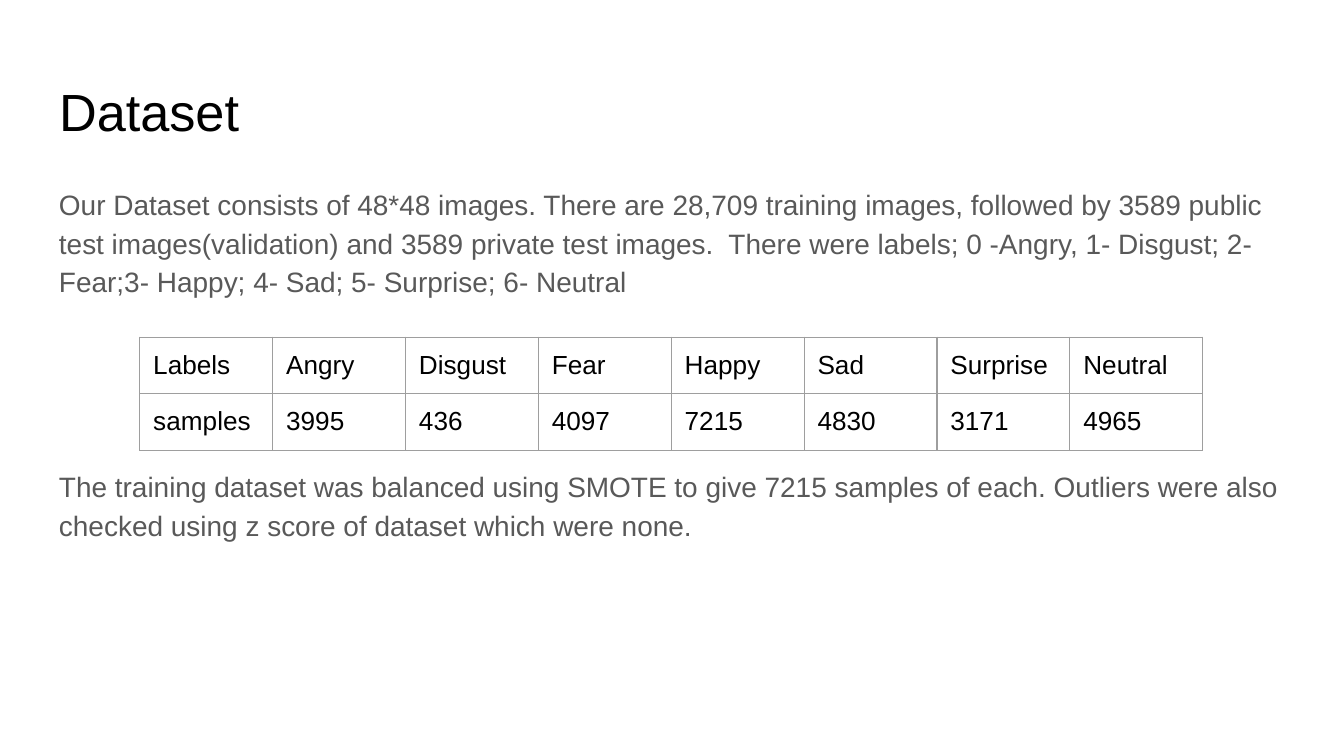
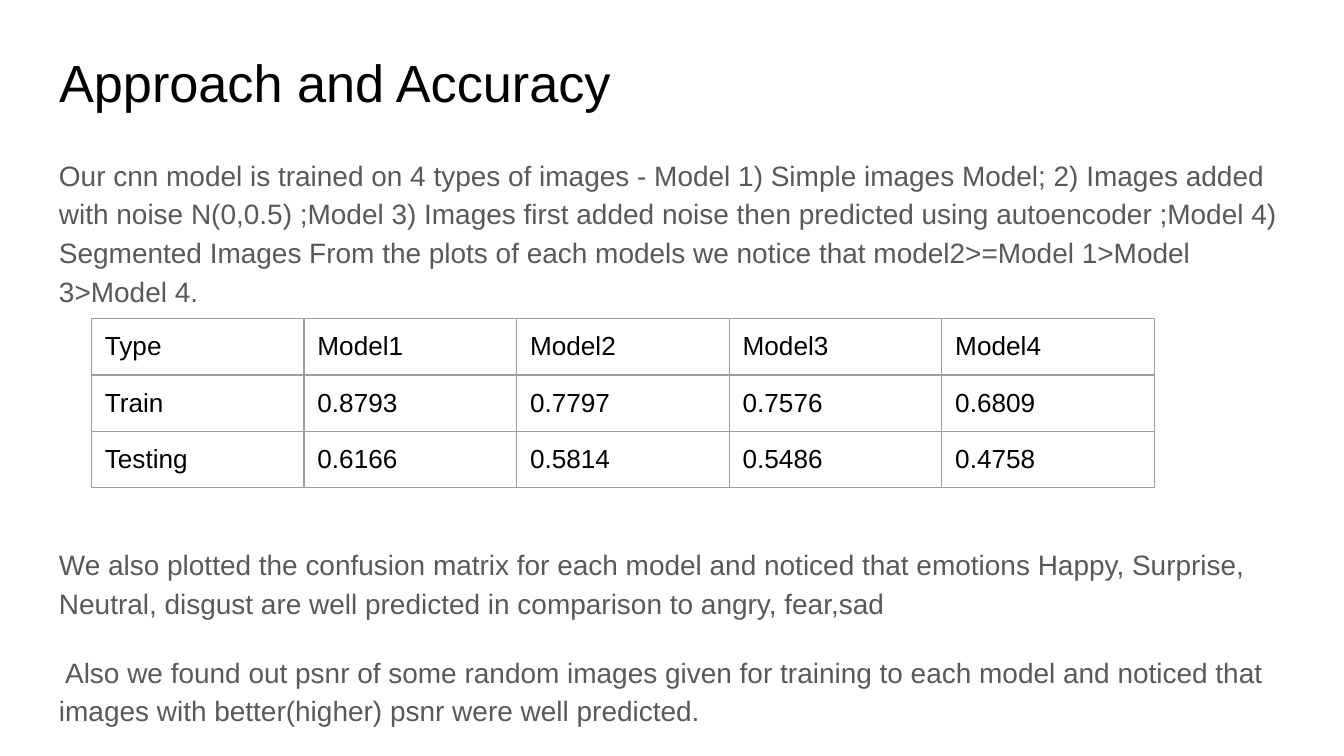
"""Build two slides on an emotion dataset and on model accuracy."""
import pptx
import pptx.util
import pptx.dml.color
import pptx.enum.text
import pptx.oxml
import pptx.oxml.ns

SLIDES = [
    {
        "title": "Dataset", "top": 0.49, "body": 1.26, "tall": 3.74,
        "text": [
            ("Our Dataset consists of 48*48 images. There are 28,709 training images, "
             "followed by 3589 public test images(validation) and 3589 private test images.  "
             "There were labels; 0 -Angry, 1- Disgust; 2- Fear;3- Happy; 4- Sad; "
             "5- Surprise; 6- Neutral", 0),
            ("The training dataset was balanced using SMOTE to give 7215 samples of each. "
             "Outliers were also checked using z score of dataset which were none.", 89),
        ],
        "grid": (1.04, 2.51),
        "rows": [
            ("Labels", "Angry", "Disgust", "Fear", "Happy", "Sad", "Surprise", "Neutral"),
            ("samples", "3995", "436", "4097", "7215", "4830", "3171", "4965"),
        ],
    },
    {
        "title": "Approach and Accuracy", "top": 0.27, "body": 1.04, "tall": 4.18,
        "text": [
            ("Our cnn model is trained on 4 types of images - Model 1) Simple images Model; "
             "2) Images added with noise N(0,0.5) ;Model 3) Images first added noise then "
             "predicted using autoencoder ;Model 4) Segmented Images From the plots of each "
             "models we notice that model2>=Model 1>Model 3>Model 4.", 0),
            ("We also plotted the confusion matrix for each model and noticed that emotions "
             "Happy, Surprise, Neutral, disgust are well predicted in comparison to angry, "
             "fear,sad", 126),
            (" Also we found out psnr of some random images given for training to each model "
             "and noticed that images with better(higher) psnr were well predicted.", 16),
        ],
        "grid": (0.68, 2.37),
        "rows": [
            ("Type", "Model1", "Model2", "Model3", "Model4"),
            ("Train", "0.8793", "0.7797", "0.7576", "0.6809"),
            ("Testing", "0.6166", "0.5814", "0.5486", "0.4758"),
        ],
    },
]

THEME = {
    "font": "Arial", "ink": "000000", "gray": "595959", "rule": "9E9E9E",
    "title": 28, "body": 15, "cell": 14, "line": 0.75, "lead": 1.15,
}
WIDE = 10
HIGH = WIDE * 9 / 16
LEFT, SPAN = 0.34, 9.32
TABLE, ROW, PAD = 7.91, 0.42, 0.1

inch = pptx.util.Inches


def write(box, paras, size, color="ink", lead=1.0):
    """Fill a shape or cell with (text, space before) pairs in one format."""
    frame = box.text_frame
    for num, (text, gap) in enumerate(paras):
        para = frame.add_paragraph() if num else frame.paragraphs[0]
        para.alignment = pptx.enum.text.PP_ALIGN.LEFT
        para.line_spacing = lead
        para.space_before = pptx.util.Pt(gap)
        run = para.add_run()
        run.text = text
        run.font.name = THEME["font"]
        run.font.size = pptx.util.Pt(THEME[size])
        run.font.color.rgb = pptx.dml.color.RGBColor.from_string(THEME[color])


def pad(item):
    """Set equal margins and top anchoring on a frame or cell."""
    item.margin_left = item.margin_right = inch(PAD)
    item.margin_top = item.margin_bottom = inch(PAD)
    item.vertical_anchor = pptx.enum.text.MSO_ANCHOR.TOP


def fit(box):
    """Wrap the text of a shape at a fixed size."""
    frame = box.text_frame
    frame.word_wrap = True
    frame.auto_size = pptx.enum.text.MSO_AUTO_SIZE.NONE
    pad(frame)


def rule(cell):
    """Draw the four borders of a cell and clear its fill."""
    props = cell._tc.get_or_add_tcPr()
    width = pptx.util.Pt(THEME["line"])
    for side in "LRTB":
        props.append(pptx.oxml.parse_xml(
            f'<a:ln{side} {pptx.oxml.ns.nsdecls("a")} w="{width}"><a:solidFill>'
            f'<a:srgbClr val="{THEME["rule"]}"/></a:solidFill></a:ln{side}>'))
    cell.fill.background()


def add_grid(slide, rows, left, top):
    """Add a table with equal columns and rows."""
    count = len(rows[0])
    table = slide.shapes.add_table(
        len(rows), count, inch(left), inch(top), inch(TABLE), inch(ROW * len(rows))).table
    table.first_row = table.horz_banding = False
    for col in table.columns:
        col.width = inch(TABLE / count)
    for line, row in zip(table.rows, rows):
        line.height = inch(ROW)
        for cell, text in zip(line.cells, row):
            pad(cell)
            write(cell, [(text, 0)], "cell")
            rule(cell)


def add_slide(deck, page):
    """Add one slide with its title, body text and table."""
    slide = deck.slides.add_slide(deck.slide_layouts[5])
    title = slide.shapes.title
    title.left, title.top = inch(LEFT), inch(page["top"])
    title.width, title.height = inch(SPAN), inch(0.63)
    fit(title)
    write(title, [(page["title"], 0)], "title")
    body = slide.shapes.add_textbox(
        inch(LEFT), inch(page["body"]), inch(SPAN), inch(page["tall"]))
    fit(body)
    write(body, page["text"], "body", color="gray", lead=THEME["lead"])
    add_grid(slide, page["rows"], *page["grid"])


def main():
    """Build and save the deck."""
    deck = pptx.Presentation()
    deck.slide_width, deck.slide_height = inch(WIDE), inch(HIGH)
    for page in SLIDES:
        add_slide(deck, page)
    deck.save("out.pptx")


if __name__ == "__main__":
    main()
